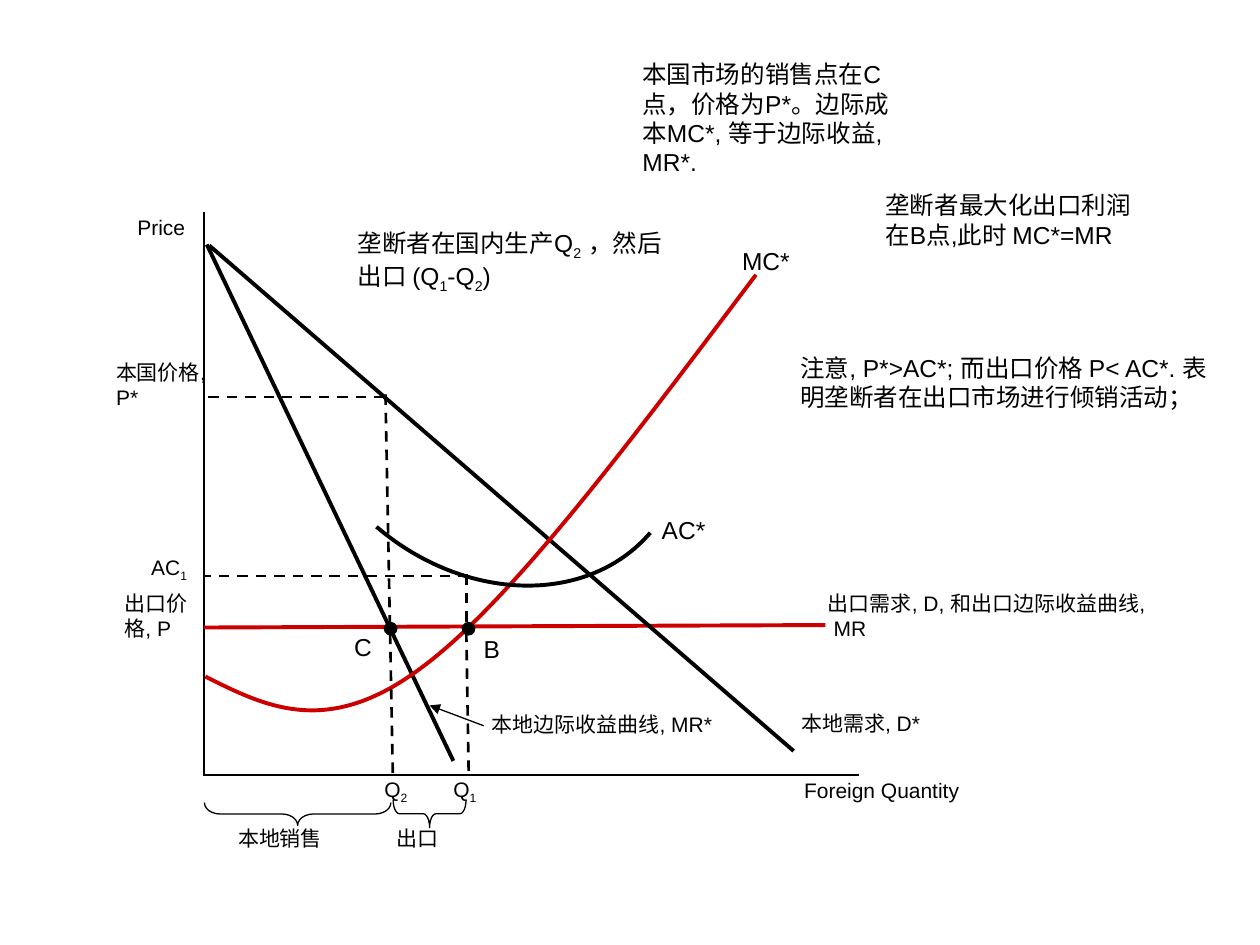
"""Build a slide explaining dumping by a monopolist with cost, revenue and demand curves."""
from lxml import etree
from pptx import Presentation
from pptx.dml.color import RGBColor
from pptx.enum.dml import MSO_LINE
from pptx.enum.shapes import MSO_CONNECTOR, MSO_SHAPE
from pptx.enum.text import MSO_ANCHOR, MSO_AUTO_SIZE, PP_ALIGN
from pptx.oxml.ns import qn
from pptx.util import Cm, Pt

STRAIGHT = MSO_CONNECTOR.STRAIGHT
DASH = MSO_LINE.DASH
OVAL, BRACE, RECTANGLE = MSO_SHAPE.OVAL, MSO_SHAPE.RIGHT_BRACE, MSO_SHAPE.RECTANGLE
FIT, TOP, LEFT = MSO_AUTO_SIZE.SHAPE_TO_FIT_TEXT, MSO_ANCHOR.TOP, PP_ALIGN.LEFT

COLORS = {"ink": "000000", "red": "CC0000", "paper": "FFFFFF"}
FONT = "Arial"
THIN, MEDIUM, THICK = 0.75, 1.5, 2.25

AXES = [((4.11, 4.27), (4.11, 15.62)), ((4.09, 15.62), (17.32, 15.62))]
EXPORT_DEMAND = ((4.11, 12.65), (16.64, 12.6))
REVENUE_POINTER = ((9.75, 14.63), (8.66, 14.22))
GUIDES = [
    ((7.77, 7.95), (7.92, 15.67)),
    ((7.75, 8.0), (4.14, 8.0)),
    ((9.4, 12.73), (9.45, 15.67)),
    ((9.45, 11.61), (4.11, 11.61)),
    ((9.4, 11.58), (9.4, 12.6)),
]
CURVES = [
    ("ink", [(4.22, 4.95), (16.0, 15.14)]),
    ("ink", [(4.17, 4.93), (9.14, 15.34)]),
    ("red", [(4.14, 13.64), (5.36, 14.25), (6.58, 14.86), (8.43, 13.51),
             (10.29, 12.17), (12.75, 8.84), (15.24, 5.54)]),
    ("ink", [(13.11, 10.74), (11.84, 12.22), (9.37, 12.14), (7.59, 10.62)]),
]
DOTS = [(7.75, 12.55), (9.32, 12.55)]
DOT_SIZE = 0.25
BRACES = [((5.77, 14.53, 0.46, 3.76), 0.689), ((8.38, 15.67, 0.56, 1.47), 0.226)]

LABELS = [
    ("Price", 12, (2.77, 4.32, 1.73, 0.51)),
    ("Foreign Quantity", 12, (16.21, 15.67, 3.45, 0.51)),
    ("MC*", 14, (14.96, 4.95, 1.22, 0.58)),
    ("本地需求, D*", 12, (16.15, 14.33, 2.82, 0.51)),
    ("本地边际收益曲线, MR*", 12, (9.91, 14.35, 4.67, 0.51)),
    ("AC*", 14, (13.34, 10.39, 1.22, 0.58)),
    ("出口价格, P", 12, (2.51, 11.91, 1.65, 1.02)),
    ("出口需求, D, 和出口边际收益曲线, MR", 12, (16.69, 11.91, 6.35, 1.02)),
    ("C", 14, (7.14, 12.75, 0.53, 0.58)),
    ("本国价格, P*", 12, (2.34, 7.24, 1.9, 1.02)),
    ("Q_2", 12, (7.75, 15.65, 0.71, 0.51)),
    ("B", 14, (9.75, 12.78, 0.61, 0.58)),
    ("Q_1", 12, (9.14, 15.65, 0.84, 0.51)),
    ("本地销售", 12, (4.8, 16.64, 2.36, 0.51)),
    ("出口", 12, (8.0, 16.64, 1.55, 0.51)),
    ("AC_1", 12, (3.05, 11.18, 1.22, 0.51)),
]
NOTES = [
    ("垄断者最大化出口利润在B点,此时 MC*=MR", (17.6, 3.71, 5.89, 1.45)),
    ("垄断者在国内生产Q_2 ，然后出口 (Q_1-Q_2)", (6.96, 4.47, 6.99, 1.45)),
    ("注意, P*>AC*; 而出口价格 P< AC*. 表明垄断者在出口市场进行倾销活动；",
     (15.88, 6.99, 8.94, 1.45)),
]
SALES_NOTE = ("本国市场的销售点在C 点，价格为P*。边际成本MC*, 等于边际收益, MR*.",
              (12.7, 1.07, 5.89, 2.64))


def color(name):
    return RGBColor.from_string(COLORS[name])


def lengths(values):
    return [Cm(value) for value in values]


def set_line(shape, name, width):
    shape.line.color.rgb = color(name)
    shape.line.width = Pt(width)


def add_line(page, ends, name="ink", width=MEDIUM):
    start, end = ends
    line = page.shapes.add_connector(STRAIGHT, *lengths(start + end))
    set_line(line, name, width)
    etree.SubElement(line._element.spPr, qn("a:effectLst"))
    return line


def add_curve(page, name, points):
    corners = [lengths(point) for point in points]
    builder = page.shapes.build_freeform(*corners[0])
    builder.add_line_segments(corners[1:], close=False)
    curve = builder.convert_to_shape()
    curve.shadow.inherit = False
    curve.fill.background()
    set_line(curve, name, THICK)
    if len(points) > 2:
        outline = next(curve._element.iter(qn("a:path")))
        segments = outline.findall(qn("a:lnTo"))
        for first in range(0, len(segments), 3):
            bend = etree.SubElement(outline, qn("a:cubicBezTo"))
            for segment in segments[first:first + 3]:
                bend.append(segment[0])
                outline.remove(segment)


def add_preset(page, kind, place):
    shape = page.shapes.add_shape(kind, *lengths(place))
    shape.shadow.inherit = False
    set_line(shape, "ink", THIN)
    return shape


def write(box, text, size, inset=True):
    frame = box.text_frame
    frame.word_wrap = True
    frame.auto_size = FIT
    frame.vertical_anchor = TOP
    if not inset:
        frame.margin_left = frame.margin_right = frame.margin_top = frame.margin_bottom = 0
    para = frame.paragraphs[0]
    para.alignment = LEFT
    plain, *marked = text.split("_")
    pieces = [(plain, False)]
    for part in marked:
        pieces += [(part[0], True), (part[1:], False)]
    for piece, lowered in pieces:
        if piece:
            span = para.add_run()
            span.text = piece
            span.font.name = FONT
            span.font.size = Pt(size)
            span.font.color.rgb = color("ink")
            if lowered:
                span.font._element.set("baseline", "-25000")


def main():
    deck = Presentation()
    deck.slide_width, deck.slide_height = Cm(25.4), Cm(19.05)
    page = deck.slides.add_slide(deck.slide_layouts[6])

    for axis in AXES:
        add_line(page, axis)
    add_line(page, EXPORT_DEMAND, "red", THICK)
    for name, points in CURVES:
        add_curve(page, name, points)
    pointer = add_line(page, REVENUE_POINTER, width=THIN)
    etree.SubElement(pointer.line._get_or_add_ln(), qn("a:tailEnd"), type="triangle")
    for guide in GUIDES:
        add_line(page, guide).line.dash_style = DASH

    for corner in DOTS:
        dot = add_preset(page, OVAL, corner + (DOT_SIZE, DOT_SIZE))
        dot.fill.solid()
        dot.fill.fore_color.rgb = color("ink")
    for place, curl in BRACES:
        brace = add_preset(page, BRACE, place)
        brace.fill.background()
        brace.adjustments[0] = curl
        brace.rotation = 90

    for text, size, place in LABELS:
        write(page.shapes.add_textbox(*lengths(place)), text, size, inset=False)
    for text, place in NOTES:
        write(page.shapes.add_textbox(*lengths(place)), text, 14)
    text, place = SALES_NOTE
    panel = add_preset(page, RECTANGLE, place)
    panel.fill.solid()
    panel.fill.fore_color.rgb = color("paper")
    panel.line.fill.background()
    write(panel, text, 14)

    deck.save("out.pptx")


if __name__ == "__main__":
    main()
